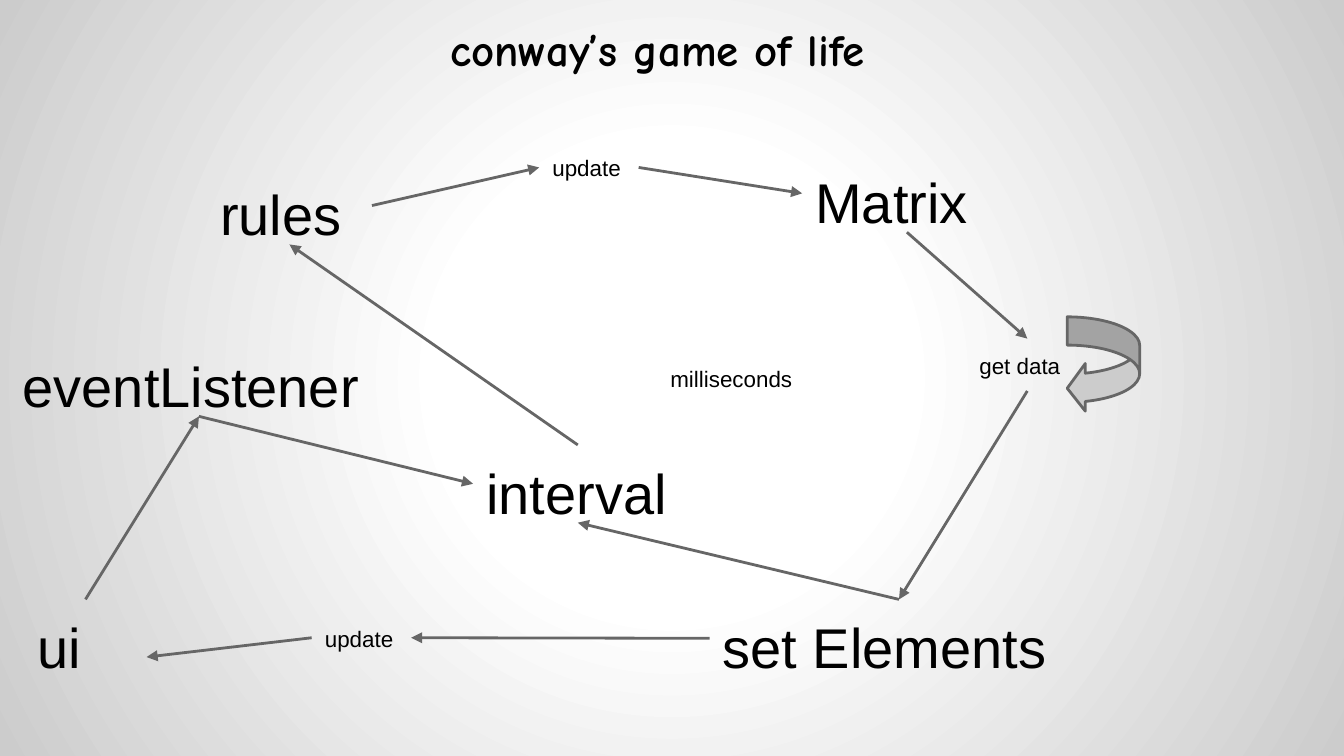
from pptx import Presentation
from pptx.dml.color import RGBColor
from pptx.enum.shapes import MSO_CONNECTOR, MSO_SHAPE
from pptx.enum.text import MSO_ANCHOR, MSO_AUTO_SIZE, PP_ALIGN
from pptx.oxml import parse_xml
from pptx.oxml.ns import nsdecls
from pptx.oxml.xmlchemy import OxmlElement
from pptx.util import Cm, Pt

TOP, LEFT, BOTTOM, RIGHT = range(4)  # connection sites of a rectangle
GREY = "666666"
BIG, SMALL = 30, 12
HEIGHTS = {BIG: 1.47, SMALL: 0.99}

# key: text, size, left, top, width
LABELS = {
    "matrix": ("Matrix", BIG, 15.16, 2.92, 3.96),
    "listener": ("eventListener", BIG, 0.18, 6.4, 7.16),
    "interval": ("interval", BIG, 8.94, 8.41, 3.96),
    "update matrix": ("update", SMALL, 10.19, 2.67, 1.88),
    "rules": ("rules", BIG, 3.91, 3.15, 3.12),
    "get data": ("get data", SMALL, 18.26, 6.4, 2.31),
    "elements": ("set Elements", BIG, 13.41, 11.33, 7.16),
    "update ui": ("update", SMALL, 5.89, 11.56, 1.88),
    "milliseconds": ("milliseconds", SMALL, 12.42, 6.65, 3.4),
}

FLOW = [
    ("ui", TOP, "listener", BOTTOM),
    ("listener", BOTTOM, "interval", LEFT),
    ("interval", TOP, "rules", BOTTOM),
    ("rules", RIGHT, "update matrix", LEFT),
    ("update matrix", RIGHT, "matrix", LEFT),
    ("matrix", BOTTOM, "get data", TOP),
    ("get data", BOTTOM, "elements", TOP),
    ("elements", TOP, "interval", BOTTOM),
    ("elements", LEFT, "update ui", RIGHT),
    ("update ui", LEFT, "ui", RIGHT),
]


def color(value):
    return RGBColor.from_string(value)


def place(sp, left, top, width, height):
    sp.left, sp.top, sp.width, sp.height = map(Cm, (left, top, width, height))


def set_text(sp, text, size, font="Arial", bold=False,
             align=PP_ALIGN.LEFT, anchor=MSO_ANCHOR.TOP):
    tf = sp.text_frame
    tf.text = text
    tf.word_wrap = True
    tf.auto_size = MSO_AUTO_SIZE.NONE
    tf.vertical_anchor = anchor
    tf.margin_left = tf.margin_right = tf.margin_top = tf.margin_bottom = Cm(0.25)
    p = tf.paragraphs[0]
    p.alignment = align
    p.space_before = Pt(0)
    f = p.runs[0].font
    f.name, f.size, f.bold = font, Pt(size), bold
    f.color.rgb = color("000000")


def set_line(sp):
    sp.line.color.rgb = color(GREY)
    sp.line.width = Pt(1.5)


def add_label(s, text, size, left, top, width):
    sp = s.shapes.add_textbox(Cm(left), Cm(top), Cm(width), Cm(HEIGHTS[size]))
    set_text(sp, text, size)
    return sp


def add_arrow(s, start, start_site, end, end_site):
    sp = s.shapes.add_connector(MSO_CONNECTOR.STRAIGHT, 0, 0, 0, 0)
    sp.begin_connect(start, start_site)
    sp.end_connect(end, end_site)
    set_line(sp)
    head = OxmlElement("a:tailEnd")
    head.set("type", "triangle")
    sp.line._get_or_add_ln().append(head)
    sp._element.spPr.append(OxmlElement("a:effectLst"))


def add_loop(s, left, top, width, height):
    sp = s.shapes.add_shape(MSO_SHAPE.CURVED_LEFT_ARROW,
                            Cm(left), Cm(top), Cm(width), Cm(height))
    for i, value in enumerate((0.39, 0.717, 0.25)):
        sp.adjustments[i] = value
    sp.shadow.inherit = False
    sp.fill.solid()
    sp.fill.fore_color.rgb = color("CCCCCC")
    set_line(sp)


def set_radial_background(s, stops):
    s.background.fill.solid()
    bg = s._element.xpath("p:cSld/p:bg/p:bgPr")[0]
    gs = "".join(f'<a:gs pos="{pos * 1000}"><a:srgbClr val="{c}"/></a:gs>'
                 for pos, c in stops)
    bg[0] = parse_xml(
        f'<a:gradFill {nsdecls("a")} rotWithShape="0"><a:gsLst>{gs}</a:gsLst>'
        '<a:path path="circle"><a:fillToRect l="50000" t="50000" '
        'r="50000" b="50000"/></a:path></a:gradFill>')


def main():
    prs = Presentation()
    prs.slide_width, prs.slide_height = Cm(25.4), Cm(14.29)
    s = prs.slides.add_slide(prs.slide_layouts[0])
    set_radial_background(s, [(0, "FFFFFF"), (30, "FFFFFF"), (100, "CCCCCC")])

    # Title
    title, ui = s.placeholders
    place(title, 1.63, 0.36, 21.59, 1.32)
    set_text(title, "conway’s game of life", 24, "Comic Neue", True,
             PP_ALIGN.CENTER, MSO_ANCHOR.BOTTOM)

    # Stations of the cycle
    place(ui, 0.46, 11.33, 2.31, 2.18)
    set_text(ui, "ui", BIG)
    stations = {key: add_label(s, *label) for key, label in LABELS.items()}
    stations["ui"] = ui

    # Flow between them
    for start, start_site, end, end_site in FLOW:
        add_arrow(s, stations[start], start_site, stations[end], end_site)
    add_loop(s, 20.17, 5.99, 1.37, 1.8)

    prs.save("out.pptx")


main()
